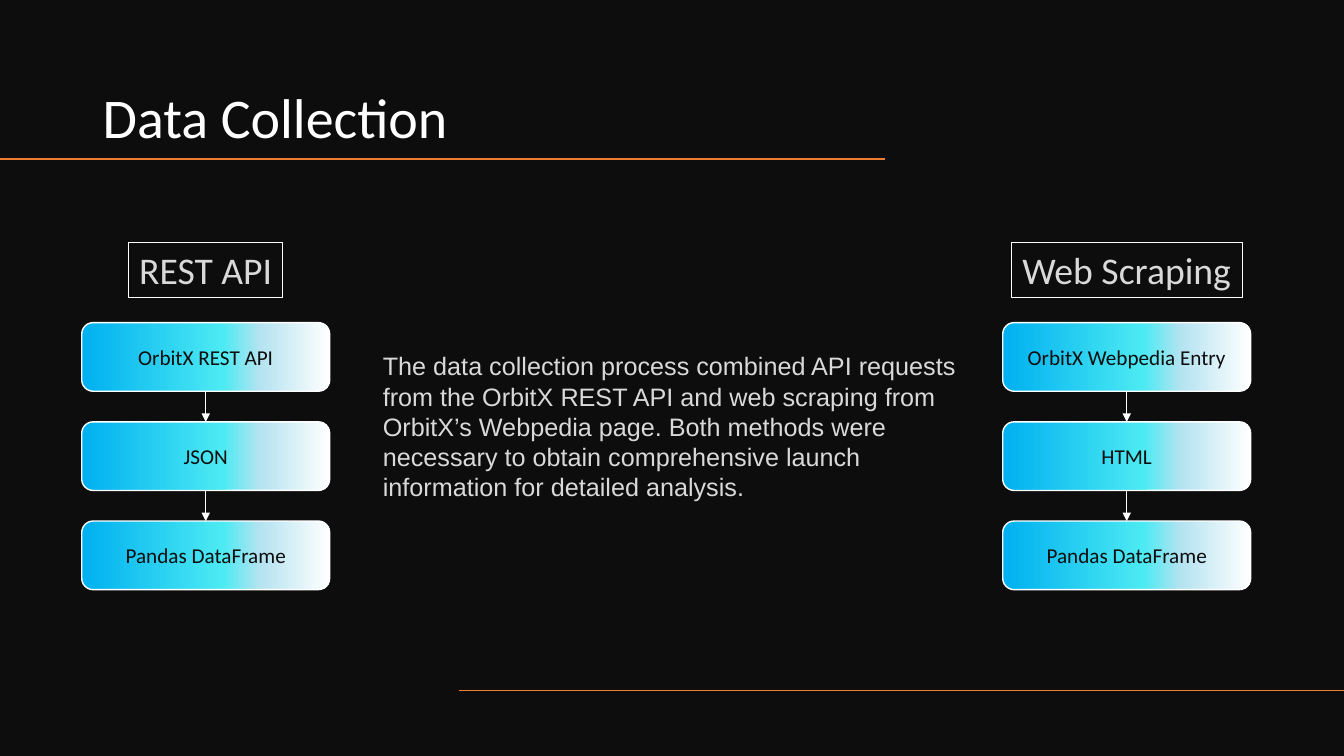
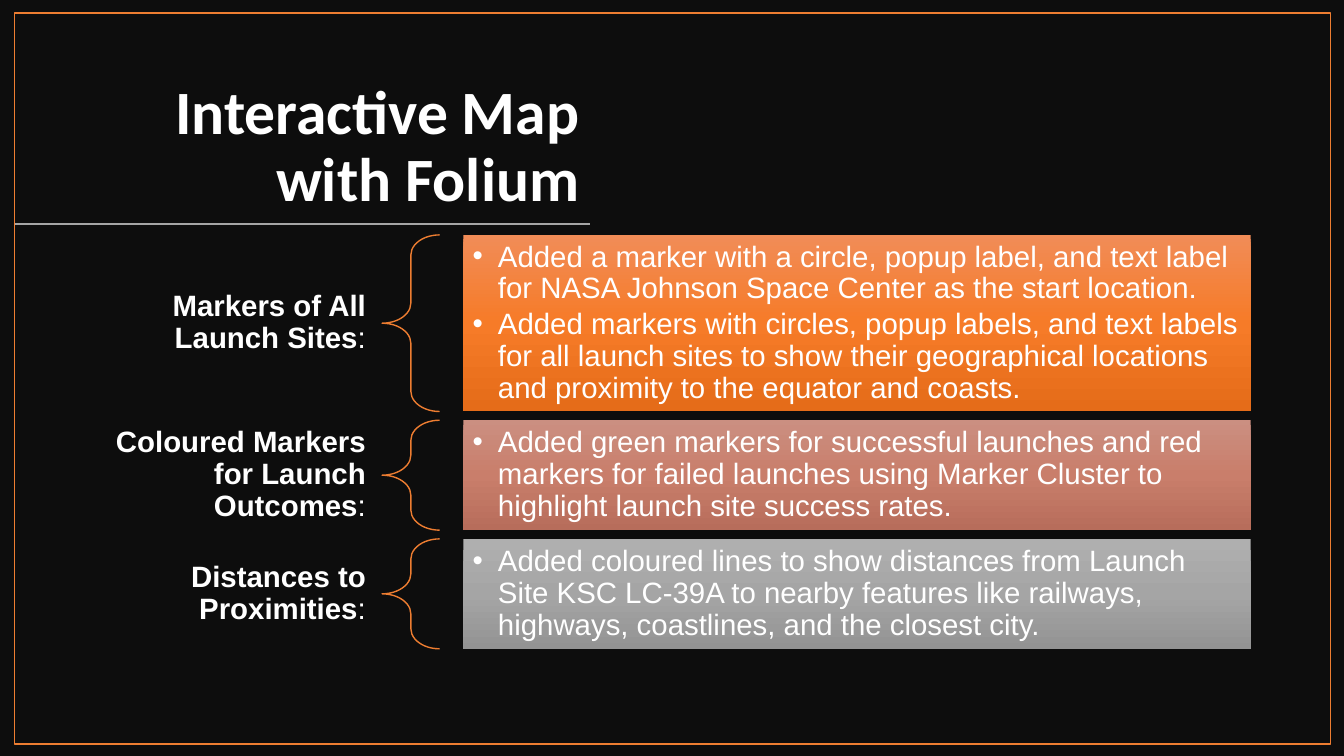
"""Build two dark slides: a data collection flow and an interactive map summary."""
from copy import deepcopy

from lxml.etree import SubElement
from pptx import Presentation
from pptx.dml.color import RGBColor
from pptx.enum.shapes import MSO_CONNECTOR, MSO_SHAPE
from pptx.enum.text import MSO_ANCHOR, PP_ALIGN
from pptx.oxml.ns import qn
from pptx.util import Cm, Pt

SLIDE_WIDTH, SLIDE_HEIGHT = 33.87, 19.05
DARK, WHITE, LIGHT, GREY, ORANGE = "0D0D0D", "FFFFFF", "D9D9D9", "A5A5A5", "ED7D31"
HEADING_FONT, BODY_FONT = "Calibri", "Arial"
STEP_GRADIENT = [(0, "00B0F0"), (0.57, "4CEAF2"), (0.72, "B5E3F1"), (1, "FFFFFF")]

FLOWS = [
    (2.06, "REST API", 3.89, ["OrbitX REST API", "JSON", "Pandas DataFrame"]),
    (25.27, "Web Scraping", 5.82, ["OrbitX Webpedia Entry", "HTML", "Pandas DataFrame"]),
]
DESCRIPTION = (
    "The data collection process combined API requests from the OrbitX REST API and web "
    "scraping from OrbitX’s Webpedia page. Both methods were necessary to obtain "
    "comprehensive launch information for detailed analysis."
)
MAP_ROWS = [
    ("Markers of All Launch Sites", 4.45, ["F18C57", "F67B28", "E56C19"], [
        "Added a marker with a circle, popup label, and text label for NASA Johnson Space "
        "Center as the start location.",
        "Added markers with circles, popup labels, and text labels for all launch sites to "
        "show their geographical locations and proximity to the equator and coasts.",
    ]),
    ("Coloured Markers for Launch Outcomes", 2.77, ["CB8F81", "C97E6B", "B76D5B"], [
        "Added green markers for successful launches and red markers for failed launches "
        "using Marker Cluster to highlight launch site success rates.",
    ]),
    ("Distances to Proximities", 2.77, ["AFAFAF", "A5A5A5", "939393"], [
        "Added coloured lines to show distances from Launch Site KSC LC-39A to nearby "
        "features like railways, highways, coastlines, and the closest city.",
    ]),
]


def colour(hex_string):
    """Return the colour for a hex string."""
    return RGBColor.from_string(hex_string)


def add_slide(presentation):
    """Add a blank slide with the dark background."""
    slide = presentation.slides.add_slide(presentation.slide_layouts[6])
    slide.background.fill.solid()
    slide.background.fill.fore_color.rgb = colour(DARK)
    return slide


def add_outline(slide, kind, left, top, width, height, line=None, weight=1):
    """Add an unfilled shape without shadow, outlined if a line colour is given."""
    shape = slide.shapes.add_shape(kind, Cm(left), Cm(top), Cm(width), Cm(height))
    shape.shadow.inherit = False
    shape.fill.background()
    if line:
        shape.line.color.rgb = colour(line)
        shape.line.width = Pt(weight)
    else:
        shape.line.fill.background()
    return shape


def fill_gradient(shape, stops, angle):
    """Fill a shape with a linear gradient of (position, colour) stops."""
    shape.fill.gradient()
    shape.fill.gradient_angle = angle
    stop_list = shape._element.spPr.find(".//" + qn("a:gsLst"))
    while len(stop_list) < len(stops):
        stop_list.append(deepcopy(stop_list[0]))
    for stop, (position, hex_string) in zip(shape.fill.gradient_stops, stops):
        stop.position = position
        stop.color.rgb = colour(hex_string)


def add_line(slide, start, end, line=ORANGE):
    """Add a straight line without shadow between two points."""
    points = [Cm(value) for value in (*start, *end)]
    connector = slide.shapes.add_connector(MSO_CONNECTOR.STRAIGHT, *points)
    connector.line.color.rgb = colour(line)
    connector.line.width = Pt(1)
    SubElement(connector._element.spPr, qn("a:effectLst"))
    return connector


def add_arrow(slide, upper, lower):
    """Join two stacked shapes with a downward arrow."""
    arrow = add_line(slide, (0, 0), (1, 1), WHITE)
    arrow.begin_connect(upper, 2)
    arrow.end_connect(lower, 0)
    SubElement(arrow.line._get_or_add_ln(), qn("a:tailEnd"), type="triangle")


def add_text_box(slide, left, top, width, height):
    """Add a wrapping text box and return its shape."""
    shape = slide.shapes.add_textbox(Cm(left), Cm(top), Cm(width), Cm(height))
    shape.text_frame.word_wrap = True
    return shape


def set_insets(text_frame, horizontal, vertical):
    """Set the inner margins of a text frame."""
    text_frame.margin_left = text_frame.margin_right = Cm(horizontal)
    text_frame.margin_top = text_frame.margin_bottom = Cm(vertical)


def format_text(text_frame, size, font, hex_string, align=PP_ALIGN.LEFT,
                anchor=MSO_ANCHOR.MIDDLE, bold=False, spacing=None):
    """Format every paragraph and run of a text frame."""
    text_frame.vertical_anchor = anchor
    for paragraph in text_frame.paragraphs:
        paragraph.alignment = align
        paragraph.line_spacing = spacing
        for run in paragraph.runs:
            run.font.size = Pt(size)
            run.font.name = font
            run.font.bold = bold
            run.font.color.rgb = colour(hex_string)


def add_title(slide, text, box, size, **style):
    """Add the slide title at the bottom of its box."""
    text_frame = add_text_box(slide, *box).text_frame
    text_frame.text = text
    format_text(text_frame, size, HEADING_FONT, WHITE,
                anchor=MSO_ANCHOR.BOTTOM, spacing=0.9, **style)


def add_flow(slide, left, top, width, heading, heading_width, steps):
    """Add a framed heading above a column of steps joined by arrows."""
    heading_left = left + (width - heading_width) / 2
    frame = add_outline(slide, MSO_SHAPE.RECTANGLE, heading_left, top,
                        heading_width, 1.4, WHITE, 0.75)
    frame.text_frame.word_wrap = False
    frame.text_frame.text = heading
    format_text(frame.text_frame, 26.9, HEADING_FONT, LIGHT, PP_ALIGN.CENTER)
    previous = None
    for index, text in enumerate(steps):
        step = add_outline(slide, MSO_SHAPE.ROUNDED_RECTANGLE, left,
                           top + 2.03 + index * 2.5, width, 1.73, WHITE)
        fill_gradient(step, STEP_GRADIENT, 0)
        step.text_frame.text = text
        format_text(step.text_frame, 15.1, HEADING_FONT, DARK, PP_ALIGN.CENTER)
        if previous is not None:
            add_arrow(slide, previous, step)
        previous = step


def add_map_row(slide, left, top, height, label, shades, bullets):
    """Add a label, a brace and a shaded panel of bullets side by side."""
    label_frame = add_text_box(slide, left, top, 7.29, height).text_frame
    set_insets(label_frame, 0.41, 0.15)
    label_frame.text = label
    label_frame.paragraphs[0].add_run().text = ":"
    format_text(label_frame, 21, BODY_FONT, WHITE, PP_ALIGN.RIGHT, bold=True, spacing=0.9)
    label_frame.paragraphs[0].runs[1].font.bold = False

    brace = add_outline(slide, MSO_SHAPE.LEFT_BRACE, left + 7.29, top, 1.45, height, ORANGE)
    brace.adjustments[0] = 0.35

    panel = add_outline(slide, MSO_SHAPE.RECTANGLE, left + 9.34, top, 19.84, height)
    fill_gradient(panel, list(zip((0, 0.5, 1), shades)), 270)
    set_insets(panel.text_frame, 0.23, 0.23)
    panel.text_frame.text = "\n".join(bullets)
    for paragraph in panel.text_frame.paragraphs:
        properties = paragraph._p.get_or_add_pPr()
        properties.set("marL", str(Cm(0.64)))
        properties.set("indent", str(Cm(-0.64)))
        SubElement(properties, qn("a:buFont"), typeface=BODY_FONT)
        SubElement(properties, qn("a:buChar"), char="•")
        paragraph.space_after = Pt(3)
    format_text(panel.text_frame, 21, BODY_FONT, WHITE, spacing=0.9)


def build_collection_slide(presentation):
    """Build the slide with two collection flows around a description."""
    slide = add_slide(presentation)
    add_title(slide, "Data Collection", (2.34, 1.07, 19.96, 2.84), 40)
    add_line(slide, (0, 4.01), (22.3, 4.01))
    add_line(slide, (11.56, 17.4), (SLIDE_WIDTH, 17.4))
    for left, heading, heading_width, steps in FLOWS:
        add_flow(slide, left, 6.1, 6.25, heading, heading_width, steps)
    text_frame = add_text_box(slide, 9.4, 8.64, 15.06, 4.2).text_frame
    text_frame.text = DESCRIPTION
    format_text(text_frame, 18, BODY_FONT, LIGHT)


def build_map_slide(presentation):
    """Build the framed slide with one row for each map feature."""
    slide = add_slide(presentation)
    add_title(slide, "Interactive Map with Folium", (2.34, 1.85, 12.52, 3.68), 44,
              align=PP_ALIGN.RIGHT, bold=True)
    add_line(slide, (0.36, 5.64), (14.86, 5.64), GREY)
    top = 5.92
    for label, height, shades, bullets in MAP_ROWS:
        add_map_row(slide, 2.34, top, height, label, shades, bullets)
        top += height + 0.22
    add_outline(slide, MSO_SHAPE.RECTANGLE, 0.36, 0.33, 33.17, 18.42, ORANGE)


def main():
    """Build and save the presentation."""
    presentation = Presentation()
    presentation.slide_width = Cm(SLIDE_WIDTH)
    presentation.slide_height = Cm(SLIDE_HEIGHT)
    build_collection_slide(presentation)
    build_map_slide(presentation)
    presentation.save("out.pptx")


if __name__ == "__main__":
    main()
